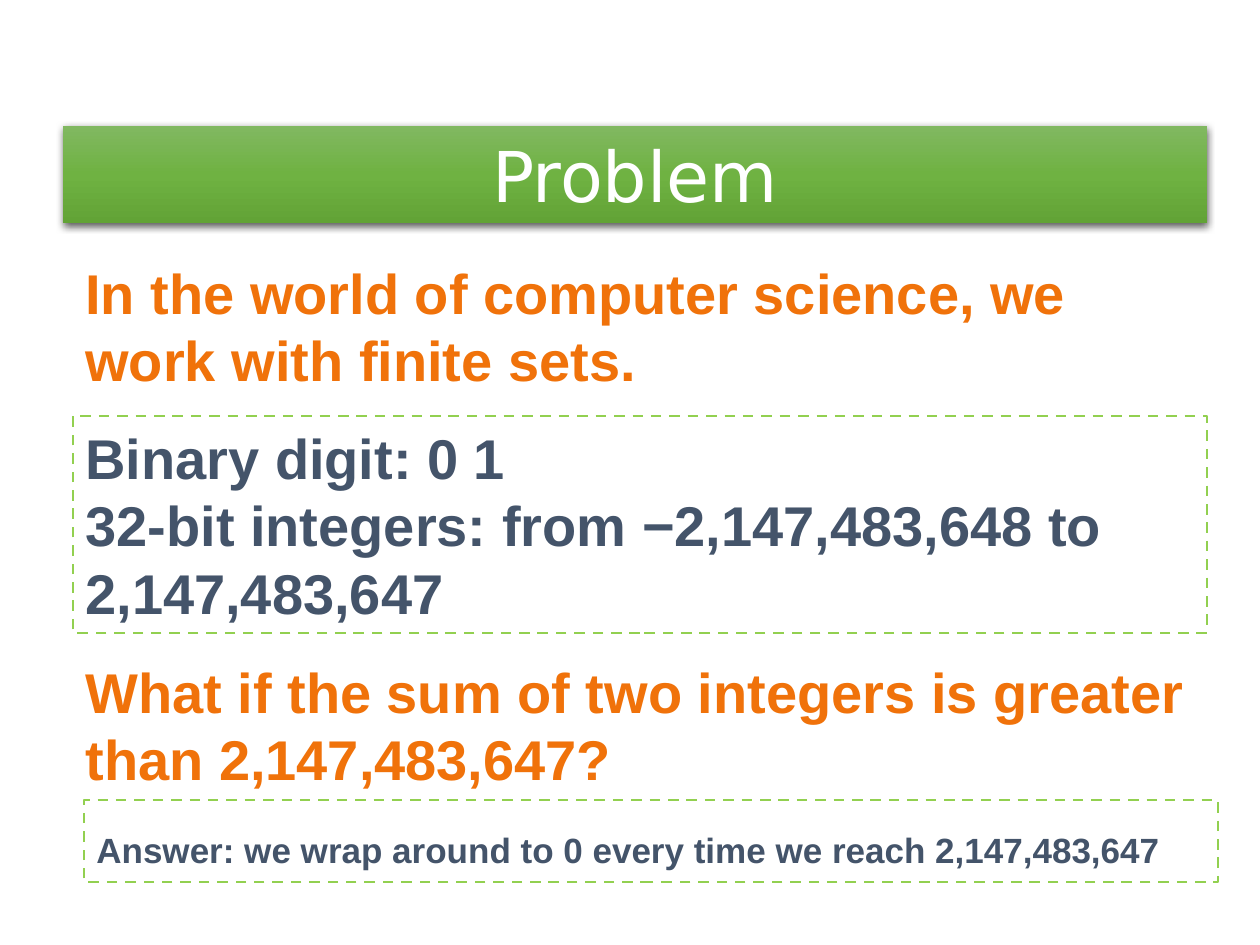
from copy import deepcopy
from dataclasses import dataclass

from lxml import etree
from pptx import Presentation
from pptx.dml.color import RGBColor
from pptx.enum.dml import MSO_LINE
from pptx.enum.shapes import MSO_SHAPE
from pptx.enum.text import MSO_ANCHOR, MSO_AUTO_SIZE, PP_ALIGN
from pptx.oxml.ns import qn
from pptx.util import Emu, Pt

RECTANGLE = MSO_SHAPE.RECTANGLE
DASH = MSO_LINE.DASH
TOP, MIDDLE = MSO_ANCHOR.TOP, MSO_ANCHOR.MIDDLE
GROW = MSO_AUTO_SIZE.SHAPE_TO_FIT_TEXT
LEFT, CENTER = PP_ALIGN.LEFT, PP_ALIGN.CENTER
EMU_PER_PX = 914400 / 126


@dataclass(frozen=True)
class Theme:
    title_font: str = "DejaVu Sans"
    body_font: str = "Arial"
    title_size: int = 40
    body_size: int = 32
    answer_size: int = 20
    white: str = "FFFFFF"
    question: str = "F0720A"
    detail: str = "44546A"
    border: str = "92D050"
    shadow: str = "000000"
    banner: tuple = ("81B861", "6FB242", "62A336")


THEME = Theme()


def px(length):
    return Emu(round(length * EMU_PER_PX))


def rgb(value):
    return RGBColor.from_string(value)


def write_text(box, lines, size, color, anchor=TOP, align=LEFT, font=THEME.body_font, bold=True):
    frame = box.text_frame
    frame.word_wrap = True
    frame.auto_size = GROW
    frame.vertical_anchor = anchor
    frame.text = "\n".join(lines)
    for para in frame.paragraphs:
        para.alignment = align
        para.font.name = font
        para.font.size = Pt(size)
        para.font.bold = bold
        para.font.color.rgb = rgb(color)
    return frame.paragraphs[-1]


def add_rectangle(page, left, top, width, height):
    box = page.shapes.add_shape(RECTANGLE, px(left), px(top), px(width), px(height))
    box.shadow.inherit = False
    return box


def fill_gradient(box, colors):
    box.fill.gradient()
    box.fill.gradient_angle = 270
    first = box.fill.gradient_stops[0]
    stop_list = box._element.spPr.find(".//" + qn("a:gsLst"))
    stop_list.insert(1, deepcopy(stop_list[0]))
    stops = box.fill.gradient_stops
    for index, (stop, color) in enumerate(zip(stops, colors)):
        stop.position = index / (len(colors) - 1)
        stop.color.rgb = rgb(color)


def cast_shadow(box):
    effects = box._element.spPr.find(qn("a:effectLst"))
    shadow = etree.SubElement(
        effects, qn("a:outerShdw"), blurRad=str(Pt(4.5)), dist=str(Pt(1.5)),
        dir="5400000", algn="ctr", rotWithShape="0")
    color = etree.SubElement(shadow, qn("a:srgbClr"), val=THEME.shadow)
    etree.SubElement(color, qn("a:alpha"), val="63000")


def add_banner(page, title):
    box = add_rectangle(page, 63, 126, 1144, 97)
    fill_gradient(box, THEME.banner)
    box.line.fill.background()
    cast_shadow(box)
    para = write_text(box, [title], THEME.title_size, THEME.white,
                      align=CENTER, font=THEME.title_font, bold=False)
    para.space_after = Pt(6)


def add_statement(page, top, text):
    box = page.shapes.add_textbox(px(73), px(top), px(1134), px(147))
    write_text(box, [text], THEME.body_size, THEME.question)


def add_dashed_box(page, left, top, height, lines, size):
    box = add_rectangle(page, left, top, 1134, height)
    box.fill.background()
    box.line.color.rgb = rgb(THEME.border)
    box.line.width = Pt(1.5)
    box.line.dash_style = DASH
    return write_text(box, lines, size, THEME.detail, anchor=MIDDLE)


def main():
    deck = Presentation()
    deck.slide_width, deck.slide_height = px(1260), px(945)
    page = deck.slides.add_slide(deck.slide_layouts[6])

    add_banner(page, "Problem")
    add_dashed_box(page, 73, 416, 217, [
        "Binary digit: 0 1",
        "32-bit integers: from −2,147,483,648 to 2,147,483,647",
    ], THEME.body_size)
    add_statement(page, 252, "In the world of computer science, we work with finite sets.")
    add_statement(page, 651, "What if the sum of two integers is greater than 2,147,483,647?")
    answer = add_dashed_box(page, 84, 800, 82, [
        "Answer: we wrap around to 0 every time we reach 2,147,483,647",
    ], THEME.answer_size)
    tail = answer.add_run()
    tail.text = " "
    tail.font.size = Pt(THEME.body_size)
    tail.font.bold = False

    deck.save("out.pptx")


if __name__ == "__main__":
    main()
